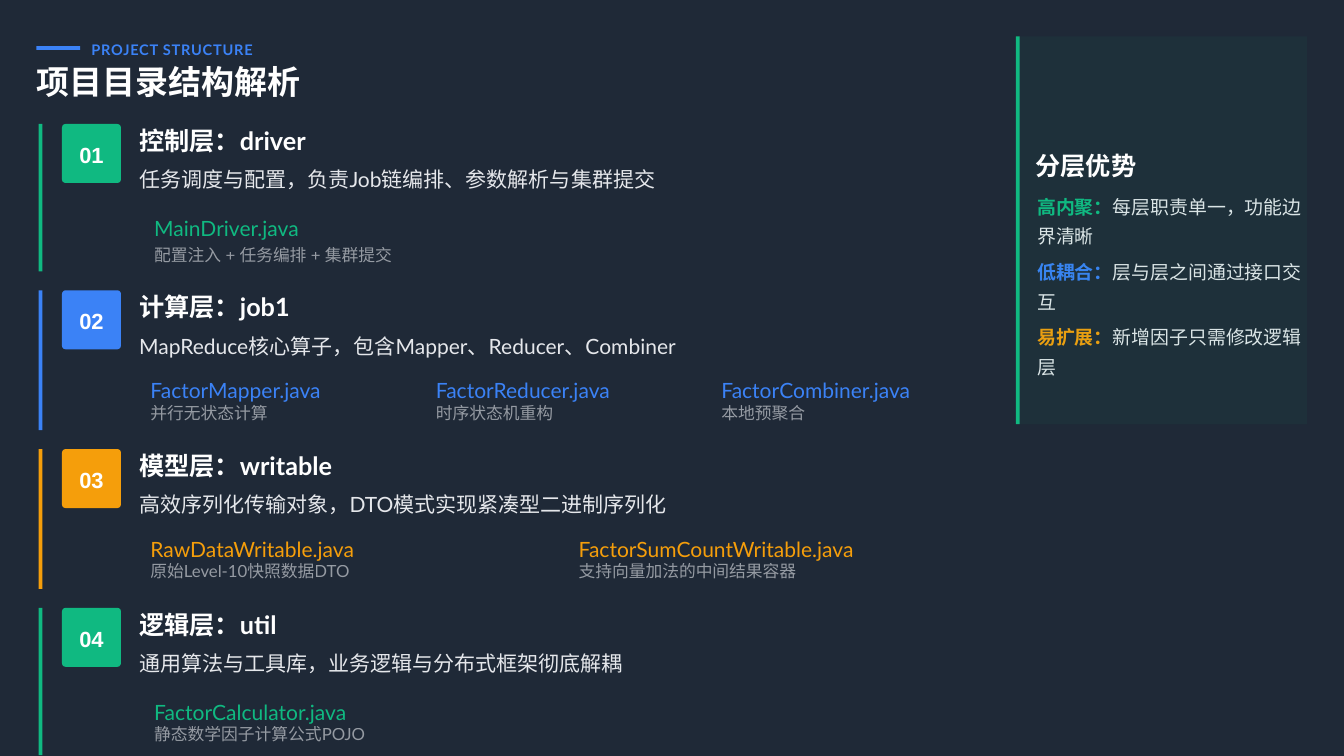
from lxml import etree
from pptx import Presentation
from pptx.dml.color import RGBColor
from pptx.enum.shapes import MSO_SHAPE as Shape
from pptx.enum.text import MSO_ANCHOR as Anchor, MSO_AUTO_SIZE as AutoSize, PP_ALIGN as Align
from pptx.oxml.ns import qn
from pptx.util import Inches, Pt

COLORS = {"bg": "1F2937", "blue": "3B82F6", "green": "10B981", "amber": "F59E0B",
          "white": "FFFFFF", "light": "E5E7EB"}
LATO, ARIAL, CJK = "Lato", "Arial", "Noto Sans CJK SC"
LEFT, TEXT_LEFT, TOP, GAP = 0.48, 1.84, 1.64, 0.25
FILES_WIDTH = 11.33

LAYERS = [
    ("控制层：driver", "任务调度与配置，负责Job链编排、参数解析与集群提交", "green", 0.41,
     [("MainDriver.java", "配置注入 + 任务编排 + 集群提交")]),
    ("计算层：job1", "MapReduce核心算子，包含Mapper、Reducer、Combiner", "blue", 0.34,
     [("FactorMapper.java", "并行无状态计算"),
      ("FactorReducer.java", "时序状态机重构"),
      ("FactorCombiner.java", "本地预聚合")]),
    ("模型层：writable", "高效序列化传输对象，DTO模式实现紧凑型二进制序列化", "amber", 0.34,
     [("RawDataWritable.java", "原始Level-10快照数据DTO"),
      ("FactorSumCountWritable.java", "支持向量加法的中间结果容器")]),
    ("逻辑层：util", "通用算法与工具库，业务逻辑与分布式框架彻底解耦", "green", 0.34,
     [("FactorCalculator.java", "静态数学因子计算公式POJO")]),
]
BENEFITS = [("高内聚：", "每层职责单一，功能边界清晰", "green"),
            ("低耦合：", "层与层之间通过接口交互", "blue"),
            ("易扩展：", "新增因子只需修改逻辑层", "amber")]


def set_color(fmt, color, alpha=None):
    """Set a solid colour with optional opacity in percent."""
    fmt.solid()
    fmt.fore_color.rgb = RGBColor.from_string(COLORS[color])
    if alpha is not None:
        clr = fmt._xPr.find(qn("a:solidFill"))[0]
        etree.SubElement(clr, qn("a:alpha")).set("val", str(alpha * 1000))


def place(sp, x, y, w, h):
    """Move and size a shape, in inches."""
    sp.left, sp.top, sp.width, sp.height = map(Inches, (x, y, w, h))


def setup_frame(tf):
    """Give a text frame no margins, wrapping and middle anchoring."""
    tf.margin_left = tf.margin_right = tf.margin_top = tf.margin_bottom = 0
    tf.word_wrap = True
    tf.auto_size = AutoSize.NONE
    tf.vertical_anchor = Anchor.MIDDLE


def add_run(p, text, size, color, bold=False, font=LATO, alpha=None, tracking=None):
    """Add one formatted run to a paragraph."""
    r = p.add_run()
    r.text = text
    r.font.size, r.font.bold, r.font.name = Pt(size), bold, font
    set_color(r.font.fill, color, alpha)
    rPr = r.font._element
    etree.SubElement(rPr, qn("a:ea")).set("typeface", font)
    if tracking:
        rPr.set("spc", str(round(tracking * 100)))


def write_line(tf, text, size, color, spacing, align=Align.LEFT, **style):
    """Write a single-line text into a frame."""
    setup_frame(tf)
    p = tf.paragraphs[0]
    p.alignment, p.line_spacing = align, spacing
    add_run(p, text, size, color, **style)


def add_text(s, x, y, w, h, *content, **style):
    """Add a text box holding one line."""
    sp = s.shapes.add_textbox(*map(Inches, (x, y, w, h)))
    write_line(sp.text_frame, *content, **style)


def add_block(s, x, y, w, h, color, kind=Shape.RECTANGLE, alpha=None):
    """Add a filled shape without outline or shadow."""
    sp = s.shapes.add_shape(kind, *map(Inches, (x, y, w, h)))
    sp.shadow.inherit = False
    set_color(sp.fill, color, alpha)
    sp.line.fill.background()
    return sp


def add_header(s):
    """Add the accent line, section label and title."""
    add_block(s, LEFT, 0.61, 0.58, 0.05, "blue")
    add_text(s, 1.21, 0.48, 2.28, 0.29, "PROJECT STRUCTURE", 13.9, "blue", 1.3,
             bold=True, tracking=0.7)
    title = s.shapes.title
    place(title, LEFT, 0.87, 12.76, 0.48)
    write_line(title.text_frame, "项目目录结构解析", 31.4, "white", 0.9, bold=True, font=CJK)


def add_layer(s, y, number, layer):
    """Add one layer with its files and return its height."""
    name, summary, color, note_gap, files = layer
    single = len(files) == 1
    height = 1.95 if single else 1.85
    add_block(s, 0.51, y, 0.05, height, color)
    badge = add_block(s, 0.82, y, 0.78, 0.78, color, Shape.ROUNDED_RECTANGLE)
    badge.adjustments[0] = 0.06
    write_line(badge.text_frame, f"{number:02}", 20.9, "white", 1.1, Align.CENTER,
               bold=True, font=ARIAL)
    add_text(s, TEXT_LEFT, y, 11.33, 0.39, name, 24, "white", 1.1, bold=True)
    add_text(s, TEXT_LEFT, y + 0.49, 11.29, 0.35, summary, 20, "light", 1.4)

    inset, name_top = (0.2, 1.18) if single else (0.15, 1.13)
    pitch = FILES_WIDTH / len(files)
    for i, (file, note) in enumerate(files):
        x, top, w = TEXT_LEFT + inset + i * pitch, y + name_top, pitch - 0.35
        add_text(s, x, top, w, 0.29, file, 20, color, 1.3)
        add_text(s, x, top + note_gap, w, 0.24, note, 16, "light", 1.2, alpha=60)
    return height


def add_benefits(s):
    """Add the side panel with its heading and list."""
    add_block(s, 13.44, 0.48, 3.85, 5.13, "green", alpha=5)
    add_block(s, 13.44, 0.48, 0.05, 5.13, "green")
    add_text(s, 13.7, 1.98, 3.71, 0.34, "分层优势", 24, "white", 1.2, bold=True)
    body = s.placeholders[1]
    place(body, 13.72, 2.5, 3.68, 2.5)
    tf = body.text_frame
    setup_frame(tf)
    for i, (term, detail, color) in enumerate(BENEFITS):
        p = tf.add_paragraph() if i else tf.paragraphs[0]
        pPr = p._p.get_or_add_pPr()
        pPr.set("marL", "0")
        pPr.set("indent", "0")
        etree.SubElement(pPr, qn("a:buNone"))
        p.line_spacing, p.space_before = 1.3, Pt(6 if i else 0)
        add_run(p, term, 18, color, bold=True)
        add_run(p, detail, 18, "light")


def main():
    """Build and save the project structure slide."""
    prs = Presentation()
    prs.slide_width, prs.slide_height = Inches(17.78), Inches(10)
    s = prs.slides.add_slide(prs.slide_layouts[1])
    set_color(s.background.fill, "bg")
    add_header(s)
    y = TOP
    for number, layer in enumerate(LAYERS, 1):
        y += add_layer(s, y, number, layer) + GAP
    add_benefits(s)
    prs.save("out.pptx")


if __name__ == "__main__":
    main()
